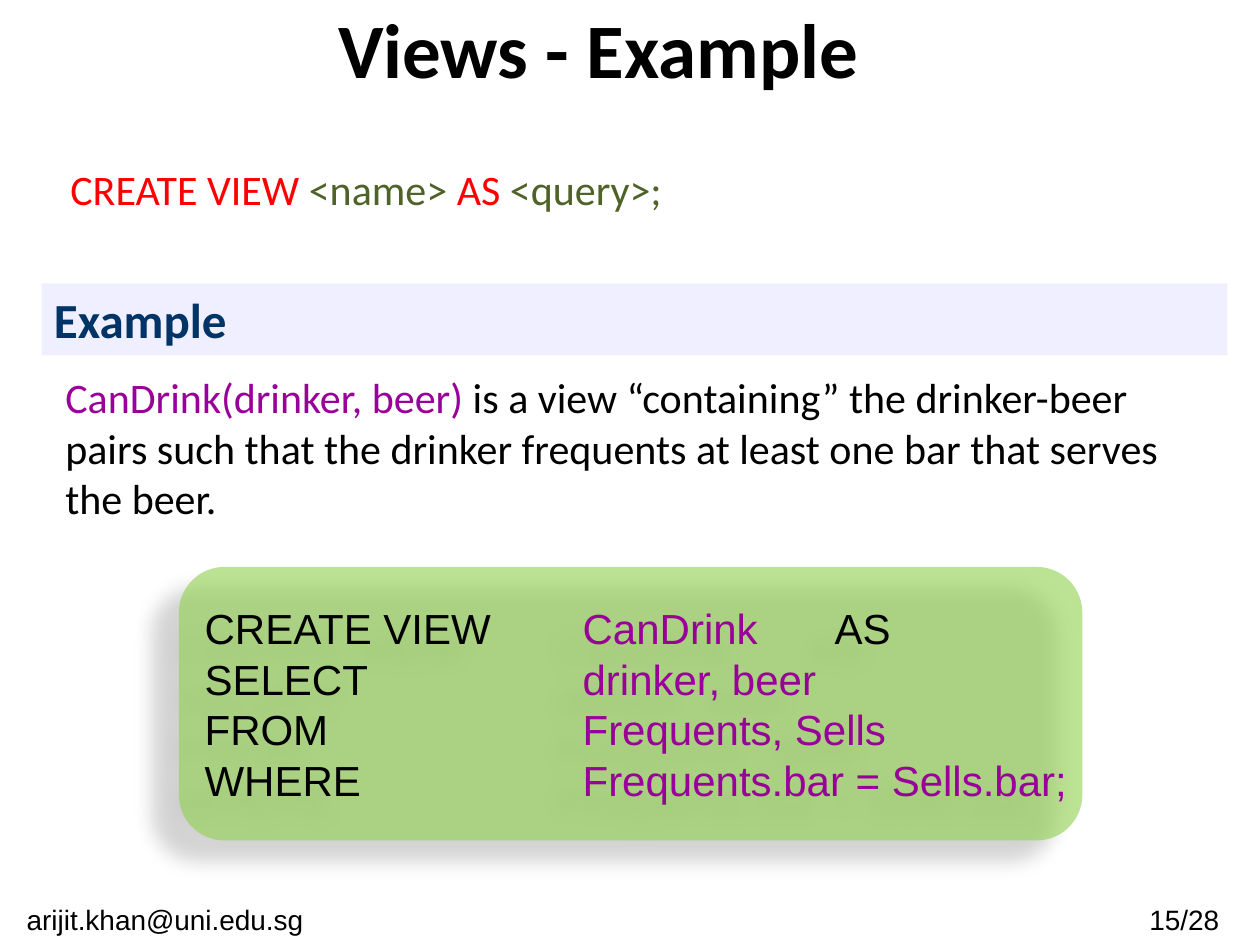
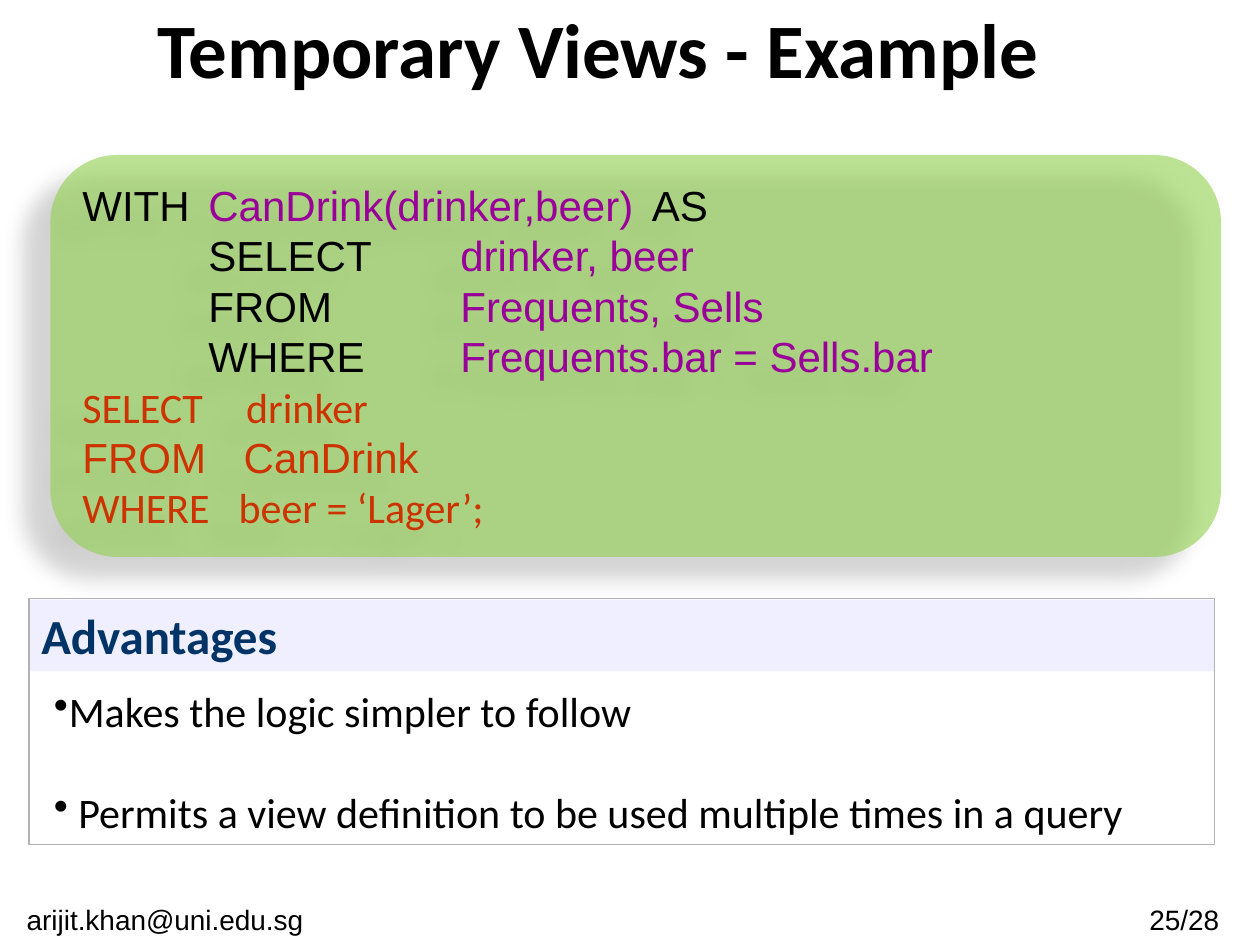
import dataclasses

import lxml.etree
import pptx
import pptx.dml.color
import pptx.enum.shapes
import pptx.enum.text
import pptx.oxml.ns
import pptx.util

Inches = pptx.util.Inches
Shape = pptx.enum.shapes.MSO_SHAPE
Align = pptx.enum.text.PP_ALIGN
Anchor = pptx.enum.text.MSO_ANCHOR


@dataclasses.dataclass(frozen=True)
class Theme:
    """Colours, fonts and type sizes shared by the slides."""
    ink: str = "000000"
    key: str = "FF0000"
    slot: str = "4F6228"
    name: str = "990099"
    query: str = "CC3300"
    head: str = "003366"
    band: str = "EFEFFF"
    rule: str = "B2B2B2"
    panel: str = "92D050"
    sans: str = "Calibri"
    code: str = "Arial"
    title: int = 44
    label: int = 28
    body: int = 24
    foot: int = 16


T = Theme()


def paint(hue):
    """Turn a hex string into a colour."""
    return pptx.dml.color.RGBColor.from_string(hue)


def node(parent, tag, **attrs):
    """Add a drawing element with attributes to a parent."""
    item = lxml.etree.SubElement(parent, pptx.oxml.ns.qn("a:" + tag))
    for key, value in attrs.items():
        item.set(key, str(value))
    return item


def write(part, runs, *, first=False, size=T.body, font=T.sans, color=T.ink,
          bold=False, align=Align.LEFT, after=0, bullet=None, tabs=()):
    """Write one paragraph; runs is a string or (text, colour) pairs."""
    frame = part.text_frame
    para = frame.paragraphs[0] if first else frame.add_paragraph()
    para.alignment = align
    para.space_after = pptx.util.Pt(after)
    props = para._p.get_or_add_pPr()
    if bullet:
        props.set("marL", "0")
        props.set("indent", "0")
        node(props, "buChar", char=bullet)
    if tabs:
        stops = node(props, "tabLst")
        for stop in tabs:
            node(stops, "tab", pos=Inches(stop), algn="l")
    for text, hue in [(runs, color)] if isinstance(runs, str) else runs:
        run = para.add_run()
        run.text = text
        run.font.size = pptx.util.Pt(size)
        run.font.name = font
        run.font.bold = bold
        run.font.color.rgb = paint(hue)


def label(slide, box, runs, anchor=Anchor.TOP, **style):
    """Place a wrapping text box with its first paragraph."""
    part = slide.shapes.add_textbox(*map(Inches, box))
    part.text_frame.word_wrap = True
    part.text_frame.vertical_anchor = anchor
    write(part, runs, first=True, **style)
    return part


def block(slide, kind, box, fill=None, line=None):
    """Place a preset shape with a plain fill and line."""
    part = slide.shapes.add_shape(kind, *map(Inches, box))
    part.shadow.inherit = False
    if fill:
        part.fill.solid()
        part.fill.fore_color.rgb = paint(fill)
    else:
        part.fill.background()
    if line:
        part.line.color.rgb = paint(line)
        part.line.width = pptx.util.Pt(0.75)
    else:
        part.line.fill.background()
    return part


def band(slide, box, text):
    """Place a section heading on a pale band."""
    part = block(slide, Shape.RECTANGLE, box, fill=T.band)
    part.text_frame.word_wrap = True
    part.text_frame.vertical_anchor = Anchor.TOP
    write(part, text, first=True, size=T.label, color=T.head, bold=True)


def panel(slide, box, lines):
    """Place a translucent code panel; lines are (runs, style) pairs."""
    part = block(slide, Shape.ROUNDED_RECTANGLE, box, fill=T.panel)
    props = part.element.spPr
    fill = props.find(pptx.oxml.ns.qn("a:solidFill"))
    node(fill[0], "alpha", val=61000)
    glow = node(props.find(pptx.oxml.ns.qn("a:effectLst")), "outerShdw",
                blurRad=pptx.util.Pt(11.8), dist=pptx.util.Pt(19.7),
                dir=141 * 60000, algn="ctr", rotWithShape=0)
    node(node(glow, "srgbClr", val=T.ink), "alpha", val=28000)
    part.text_frame.word_wrap = False
    part.text_frame.vertical_anchor = Anchor.MIDDLE
    for row, (runs, style) in enumerate(lines):
        write(part, runs, first=row == 0, **{"font": T.code, **style})


def clauses(rows, lead, **style):
    """Pair each SQL keyword with its argument on tab stops."""
    return [([(lead + word + "\t", T.ink), (arg, T.name)], style)
            for word, arg in rows]


def base(deck, title, page):
    """Add a slide with the shared title and footer."""
    slide = deck.slides.add_slide(deck.slide_layouts[6])
    for box, text in (((8.82, 7.11, 1.16, 0.39), f"{page}/28"),
                      ((0, 7.11, 2.62, 0.39), "arijit.khan@uni.edu.sg")):
        label(slide, box, text, size=T.foot, font=T.code, align=Align.CENTER)
    label(slide, (0.25, 0, 9, 0.75), title, anchor=Anchor.MIDDLE,
          size=T.title, bold=True, align=Align.CENTER)
    return slide


def sample(slide, box):
    """Place the example band and its description."""
    left, top, width, height = box
    band(slide, (left, top, width, 0.57), "Example")
    label(slide, (left + 0.09, top + 0.65, width - 0.09, height - 0.65),
          [("CanDrink(drinker, beer)", T.name),
           (" is a view “containing” the drinker-beer pairs such that the "
            "drinker frequents at least one bar that serves the beer.", T.ink)])


def gains(slide, box):
    """Place the framed list of advantages."""
    left, top, width, height = box
    band(slide, (left, top + 0.01, width, 0.57), "Advantages")
    block(slide, Shape.RECTANGLE, box, line=T.rule)
    part = label(slide, (left + 0.1, top + 0.64, width + 0.09, height - 0.64),
                 "Makes the logic simpler to follow", bullet="•", after=29)
    write(part, " Permits a view definition to be used multiple times in a query",
          bullet="•")


def views(deck):
    """Build the slide on stored views."""
    slide = base(deck, "Views - Example", 15)
    label(slide, (0.46, 1.25, 9.32, 0.5),
          [("CREATE VIEW ", T.key), ("<name> ", T.slot),
           ("AS ", T.key), ("<query>;", T.slot)])
    sample(slide, (0.33, 2.25, 9.41, 1.96))
    stops = (3, 5)
    head = [("CREATE VIEW\t", T.ink), ("CanDrink\t", T.name), ("AS", T.ink)]
    rows = [("SELECT", "drinker, beer"), ("FROM", "Frequents, Sells"),
            ("WHERE", "Frequents.bar = Sells.bar;")]
    panel(slide, (1.42, 4.5, 7.17, 2.17),
          [(head, {"tabs": stops})] + clauses(rows, "", tabs=stops))


def temps(deck):
    """Build the slide on temporary views."""
    slide = base(deck, "Temporary Views - Example", 25)
    gains(slide, (0.23, 4.75, 9.41, 1.95))
    head = [("WITH\t", T.ink), ("CanDrink(drinker,beer)\t", T.name),
            ("AS", T.ink)]
    rows = [("SELECT", "drinker, beer"), ("FROM", "Frequents, Sells"),
            ("WHERE", "Frequents.bar = Sells.bar")]
    tail = [("SELECT\tdrinker", T.sans, 1.3), ("FROM\tCanDrink", T.code, 1.28),
            ("WHERE\tbeer = ‘Lager’;", T.sans, 1.24)]
    panel(slide, (0.4, 1.23, 9.29, 3.19),
          [(head, {"tabs": (1, 4.52)})] + clauses(rows, "\t", tabs=(1, 3))
          + [(text, {"font": font, "color": T.query, "tabs": (stop,)})
             for text, font, stop in tail])


def main():
    """Build and save the deck."""
    deck = pptx.Presentation()
    deck.slide_width, deck.slide_height = Inches(10), Inches(7.5)
    views(deck)
    temps(deck)
    deck.save("out.pptx")


if __name__ == "__main__":
    main()
